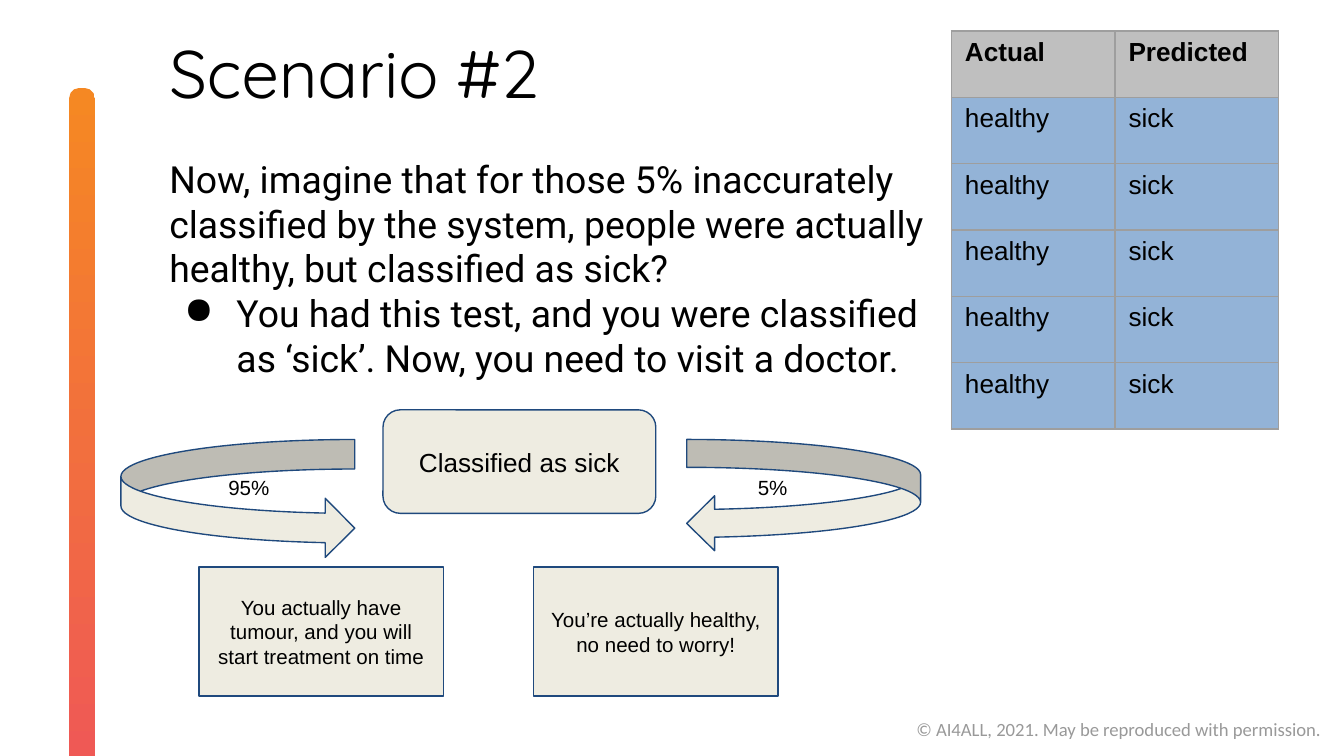
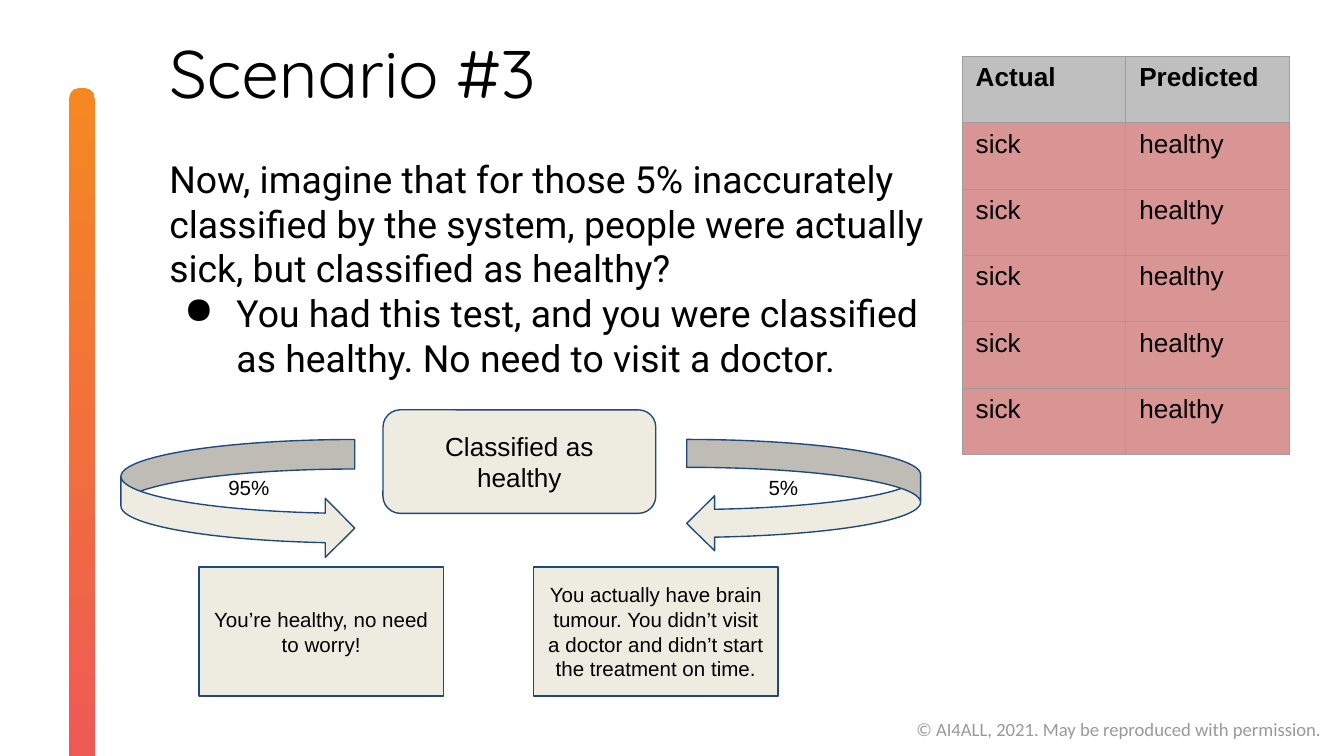
from dataclasses import dataclass
from typing import NamedTuple

from lxml import etree
from pptx import Presentation
from pptx.dml.color import RGBColor
from pptx.enum.shapes import MSO_SHAPE
from pptx.enum.text import MSO_ANCHOR, MSO_AUTO_SIZE, PP_ALIGN
from pptx.oxml.ns import qn
from pptx.util import Inches, Length, Pt

ROUND, RECT = MSO_SHAPE.ROUNDED_RECTANGLE, MSO_SHAPE.RECTANGLE
RIGHT, LEFT = MSO_SHAPE.CURVED_RIGHT_ARROW, MSO_SHAPE.CURVED_LEFT_ARROW
TOP, MIDDLE = MSO_ANCHOR.TOP, MSO_ANCHOR.MIDDLE
GROW = MSO_AUTO_SIZE.SHAPE_TO_FIT_TEXT
CENTER = PP_ALIGN.CENTER

WIDE, HIGH = Inches(10), Inches(5.625)
UNIT = WIDE / 100  # the slide is a grid of 100 columns by 56.25 rows

COLORS = {
    "black": "000000", "grey": "999999", "cream": "EEECE1", "navy": "1F497D",
    "orange": "F58823", "red": "EF5757", "rule": "9E9E9E", "head": "BFBFBF",
    "blue": "93B3D7", "pink": "D99593",
}


class Box(NamedTuple):
    """Left, top, width and height in grid units."""
    x: float
    y: float
    w: float
    h: float


class Style(NamedTuple):
    font: str
    size: float
    ink: str = "black"
    bold: bool = False


class Part(NamedTuple):
    kind: MSO_SHAPE
    box: Box
    bends: tuple[float, ...] = ()


@dataclass(frozen=True)
class Scene:
    title: str
    ask: str
    point: str
    verdict: str
    ends: tuple[str, str]
    pair: tuple[str, str]
    tint: str
    grid: tuple[float, float]
    small: float  # left of the 5% label


TITLE = Style("Quicksand", 36)
BODY = Style("Roboto", 20)
TEXT = Style("Arial", 14)
HEAD = Style("Arial", 14, bold=True)
NOTE = Style("Arial", 11)
FOOT = Style("Calibri", 10, "grey")

FLAT, SLIM, EVEN = (0, 0), (1, 0.5), (1, 1)
VERDICT = Part(ROUND, Box(28.5, 30.5, 20.3, 7.7), (0.167,))
ARROWS = (
    Part(RIGHT, Box(9, 32.7, 17.4, 8.8), (0.25, 0.5, 0.25)),
    Part(LEFT, Box(51.1, 32.7, 17.4, 8.3), (0.25, 0.493, 0.25)),
)
ENDS = tuple(Part(RECT, Box(x, 42.2, 18.2, 9.6)) for x in (14.8, 39.7))
CELL = (12.17, 4.94)
COUNT = 5

SCENES = (
    Scene(
        "Scenario #2",
        "Now, imagine that for those 5% inaccurately classified by the system, "
        "people were actually healthy, but classified as sick?",
        "You had this test, and you were classified as ‘sick’. "
        "Now, you need to visit a doctor.",
        "Classified as sick",
        ("You actually have tumour, and you will start treatment on time",
         "You’re actually healthy, no need to worry!"),
        ("healthy", "sick"), "blue", (70.8, 2.3), 55.4,
    ),
    Scene(
        "Scenario #3",
        "Now, imagine that for those 5% inaccurately classified by the system, "
        "people were actually sick, but classified as healthy?",
        "You had this test, and you were classified as healthy. "
        "No need to visit a doctor.",
        "Classified as healthy",
        ("You’re healthy, no need to worry!",
         "You actually have brain tumour. You didn’t visit a doctor "
         "and didn’t start the treatment on time."),
        ("sick", "healthy"), "pink", (71.6, 4.2), 56.2,
    ),
)


def span(units: float) -> Length:
    return Length(round(units * UNIT))


def place(box: Box) -> tuple[Length, ...]:
    return tuple(span(side) for side in box)


def shade(name: str) -> RGBColor:
    return RGBColor.from_string(COLORS[name])


def pad(item, gaps: tuple[float, float]) -> None:
    """Set the side and top margins of a frame or cell."""
    item.margin_left = item.margin_right = span(gaps[0])
    item.margin_top = item.margin_bottom = span(gaps[1])


def write(para, text: str, style: Style) -> None:
    run = para.add_run()
    run.text = text
    run.font.name = style.font
    run.font.size = Pt(style.size)
    run.font.bold = style.bold
    run.font.color.rgb = shade(style.ink)


def dot(para) -> None:
    """Give the paragraph a hanging round bullet."""
    props = para._p.get_or_add_pPr()
    props.set("marL", str(span(5)))
    props.set("indent", str(span(-3.9)))
    tone = etree.SubElement(props, qn("a:buClr"))
    etree.SubElement(tone, qn("a:srgbClr"), val=COLORS["black"])
    etree.SubElement(props, qn("a:buChar"), char="●")


def add_text(slide, box: Box, text: str, style: Style, gaps=FLAT):
    frame = slide.shapes.add_textbox(*place(box)).text_frame
    frame.word_wrap = True
    frame.vertical_anchor = TOP
    pad(frame, gaps)
    write(frame.paragraphs[0], text, style)
    return frame


def add_part(slide, part: Part):
    shape = slide.shapes.add_shape(part.kind, *place(part.box))
    shape.shadow.inherit = False
    for spot, bend in enumerate(part.bends):
        shape.adjustments[spot] = bend
    shape.fill.solid()
    shape.fill.fore_color.rgb = shade("cream")
    shape.line.color.rgb = shade("navy")
    shape.line.width = Pt(0.75)
    return shape


def add_card(slide, part: Part, text: str, style: Style) -> None:
    """Draw a part with centred text."""
    frame = add_part(slide, part).text_frame
    frame.word_wrap = True
    frame.vertical_anchor = MIDDLE
    pad(frame, EVEN)
    para = frame.paragraphs[0]
    para.alignment = CENTER
    write(para, text, style)


def add_label(slide, left: float, text: str) -> None:
    frame = add_text(slide, Box(left, 34.4, 5.2, 3.9), text, NOTE, EVEN)
    frame.auto_size = GROW


def add_base(slide) -> None:
    """Draw the footer and side band that every slide has."""
    add_text(slide, Box(67.2, 52.9, 32.4, 2.7),
             "© AI4ALL, 2021. May be reproduced with permission.", FOOT, SLIM)
    band = add_part(slide, Part(ROUND, Box(-19.8, 31.5, 51.8, 1.9), (0.387,)))
    band.rotation = 90
    band.line.fill.background()
    band.fill.gradient()
    band.fill.gradient_angle = 0
    for stop, name in zip(band.fill.gradient_stops, ("orange", "red")):
        stop.color.rgb = shade(name)


def edge(cell) -> None:
    """Rule all four sides of a cell."""
    props = cell._tc.get_or_add_tcPr()
    for side in ("lnL", "lnR", "lnT", "lnB"):
        line = etree.SubElement(props, qn(f"a:{side}"), w=str(Pt(0.75)))
        fill = etree.SubElement(line, qn("a:solidFill"))
        etree.SubElement(fill, qn("a:srgbClr"), val=COLORS["rule"])


def add_grid(slide, scene: Scene) -> None:
    rows = [("Actual", "Predicted")] + [scene.pair] * COUNT
    wide, high = CELL
    box = Box(*scene.grid, wide * 2, high * len(rows))
    table = slide.shapes.add_table(len(rows), 2, *place(box)).table
    table.first_row = table.horz_banding = False
    for col in table.columns:
        col.width = span(wide)
    for down, words in enumerate(rows):
        table.rows[down].height = span(high)
        for across, word in enumerate(words):
            cell = table.cell(down, across)
            pad(cell, SLIM)
            edge(cell)
            cell.fill.solid()
            cell.fill.fore_color.rgb = shade(scene.tint if down else "head")
            write(cell.text_frame.paragraphs[0], word, TEXT if down else HEAD)


def add_scene(deck, scene: Scene) -> None:
    slide = deck.slides.add_slide(deck.slide_layouts[6])
    add_base(slide)
    add_text(slide, Box(12.6, 2.3, 80.3, 7.1), scene.title, TITLE)
    add_grid(slide, scene)
    body = add_text(slide, Box(12.6, 11.6, 56.6, 18.9), scene.ask, BODY)
    point = body.add_paragraph()
    dot(point)
    write(point, scene.point, BODY)
    add_card(slide, VERDICT, scene.verdict, TEXT)
    for arrow in ARROWS:
        add_part(slide, arrow)
    for part, text in zip(ENDS, scene.ends):
        add_card(slide, part, text, NOTE)
    add_label(slide, 16, "95%")
    add_label(slide, scene.small, "5%")


def main() -> None:
    deck = Presentation()
    deck.slide_width, deck.slide_height = WIDE, HIGH
    for scene in SCENES:
        add_scene(deck, scene)
    deck.save("out.pptx")


if __name__ == "__main__":
    main()
